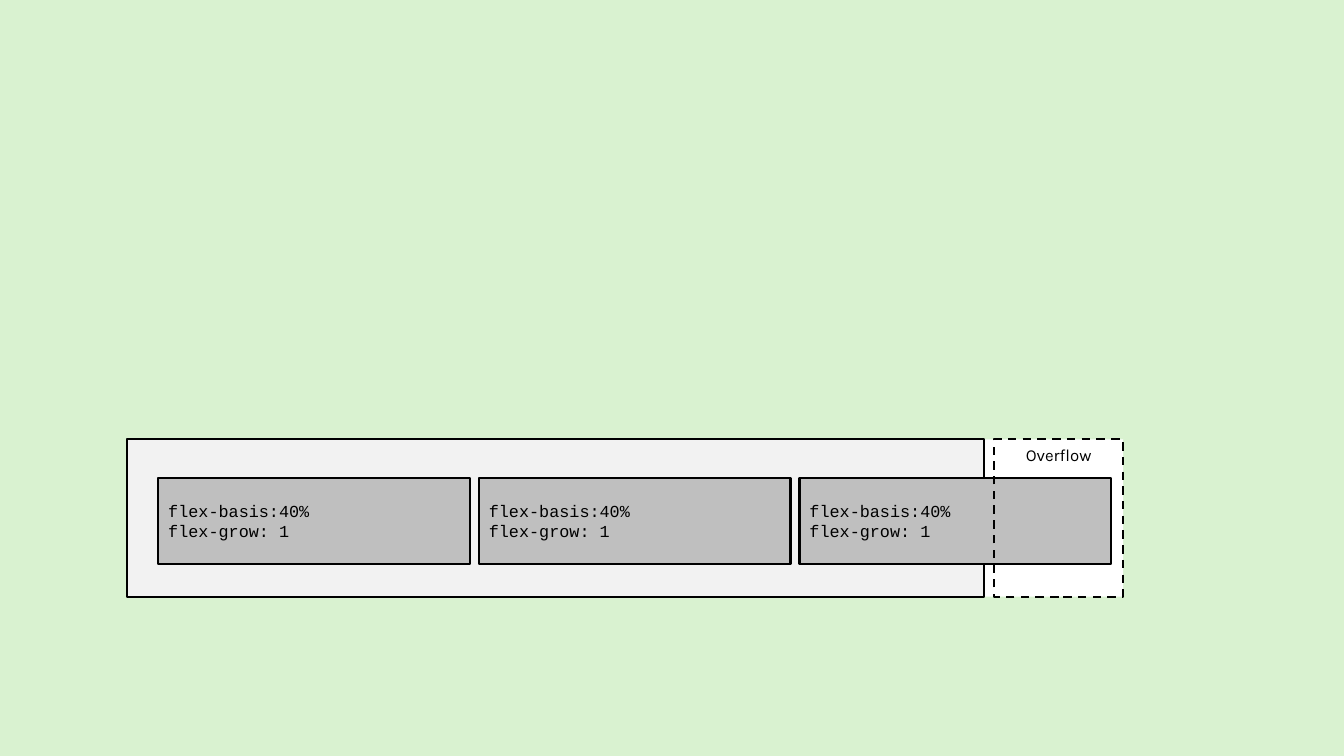
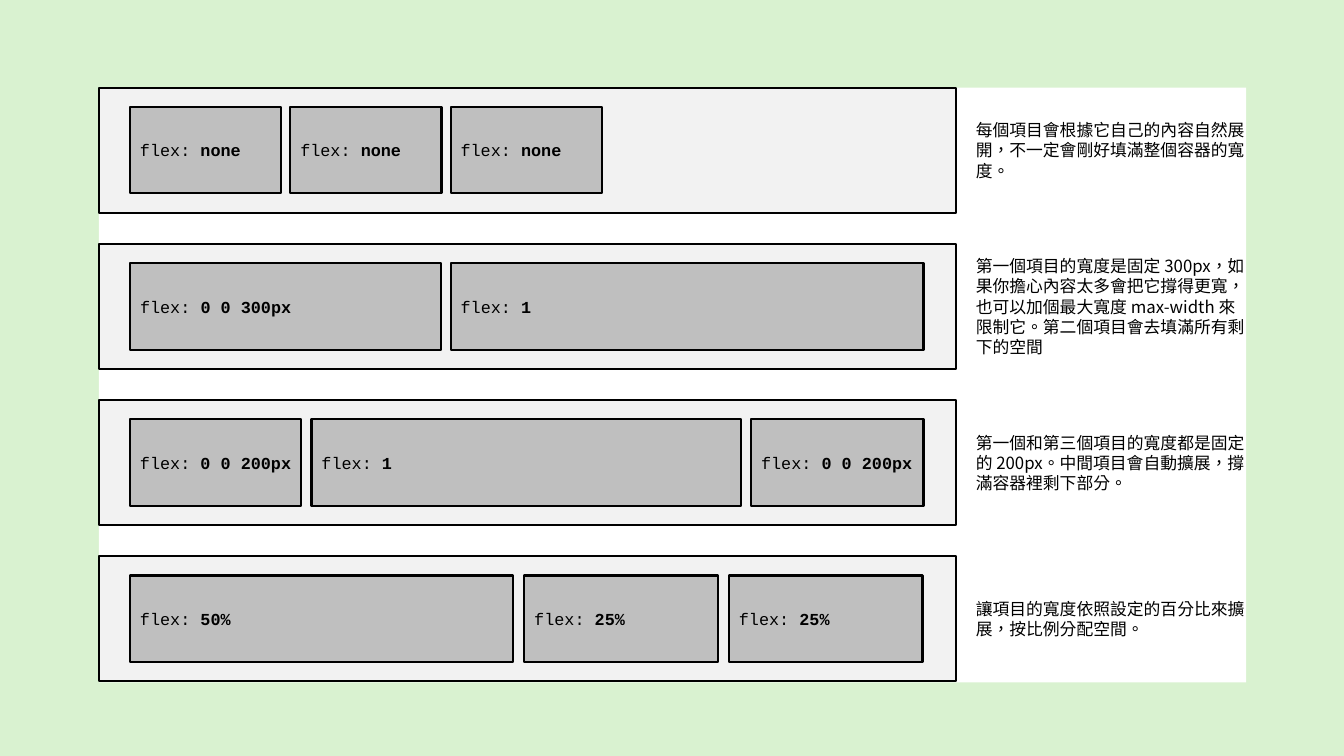
from lxml.etree import SubElement
from pptx import Presentation
from pptx.dml.color import RGBColor
from pptx.enum.dml import MSO_LINE
from pptx.enum.shapes import MSO_SHAPE
from pptx.enum.text import MSO_ANCHOR, PP_ALIGN
from pptx.oxml.ns import qn
from pptx.util import Inches, Pt

COLORS = {"page": "D9F2D0", "sheet": "FFFFFF", "container": "F2F2F2",
          "item": "BFBFBF", "ink": "000000"}
CODE_FONT, LABEL_FONT, NOTE_FONT = "Courier New", "Karla", "Noto Sans CJK TC"

OVERFLOW_ITEM = [[("flex-basis:40%", False)], [("flex-grow: 1", False)]]
OVERFLOW_WIDTHS = [3.09] * 3

FLEX_ROWS = [
    {"items": [("none", 1.5), ("none", 1.5), ("none", 1.5)], "gap": 0.09,
     "note": "每個項目會根據它自己的內容自然展開，不一定會剛好填滿整個容器的寬度。",
     "note_height": 0.5},
    {"items": [("0 0 300px", 3.08), ("1", 4.69)], "gap": 0.1,
     "note": "第一個項目的寬度是固定 300px，如果你擔心內容太多會把它撐得更寬，"
             "也可以加個最大寬度 max-width 來限制它。第二個項目會去填滿所有剩下的空間",
     "note_height": 1.11},
    {"items": [("0 0 200px", 1.7), ("1", 4.26), ("0 0 200px", 1.71)], "gap": 0.1,
     "note": "第一個和第三個項目的寬度都是固定的 200px。"
             "中間項目會自動擴展，撐滿容器裡剩下部分。",
     "note_height": 0.71},
    {"items": [("50%", 3.8), ("25%", 1.92), ("25%", 1.92)], "gap": 0.11,
     "note": "讓項目的寬度依照設定的百分比來擴展，按比例分配空間。",
     "note_height": 0.5},
]

CONTAINER_WIDTH, PADDING, ITEM_HEIGHT = 8.5, 0.31, 0.86
ROW_TOP, ROW_STEP, ROW_HEIGHT = 0.87, 1.55, 1.24


def color(key):
    return RGBColor.from_string(COLORS[key])


def new_slide(prs):
    slide = prs.slides.add_slide(prs.slide_layouts[6])
    slide.background.fill.solid()
    slide.background.fill.fore_color.rgb = color("page")
    return slide


def add_box(slide, left, top, width, height, fill=None, outlined=True):
    box = slide.shapes.add_shape(MSO_SHAPE.RECTANGLE, Inches(left), Inches(top),
                                 Inches(width), Inches(height))
    box.shadow.inherit = False
    if fill:
        box.fill.solid()
        box.fill.fore_color.rgb = color(fill)
    else:
        box.fill.background()
    if outlined:
        box.line.color.rgb = color("ink")
        box.line.width = Pt(1.5)
    else:
        box.line.fill.background()
    return box


def write(box, lines, font, align=PP_ALIGN.LEFT, anchor=MSO_ANCHOR.MIDDLE, lang="en-US"):
    frame = box.text_frame
    frame.word_wrap = True
    frame.vertical_anchor = anchor
    for index, line in enumerate(lines):
        paragraph = frame.add_paragraph() if index else frame.paragraphs[0]
        paragraph.alignment = align
        for text, bold in line:
            run = paragraph.add_run()
            run.text = text
            run.font.size = Pt(12)
            run.font.name = font
            run.font.color.rgb = color("ink")
            if bold:
                run.font.bold = True
            props = run._r.get_or_add_rPr()
            props.set("lang", lang)
            SubElement(props, qn("a:ea")).set("typeface", font)


def add_items(slide, left, top, widths, gap, texts):
    for width, lines in zip(widths, texts):
        write(add_box(slide, left, top, width, ITEM_HEIGHT, "item"), lines, CODE_FONT)
        left += width + gap


def build_overflow(prs):
    slide = new_slide(prs)
    left, top, height, full_width, overflow_width = 1.26, 4.36, 1.56, 9.88, 1.28
    add_box(slide, left, top, full_width, height, "sheet", outlined=False)
    add_box(slide, left, top, CONTAINER_WIDTH, height, "container")
    add_items(slide, left + PADDING, top + 0.38, OVERFLOW_WIDTHS, 0.09,
              [OVERFLOW_ITEM] * len(OVERFLOW_WIDTHS))
    overflow = add_box(slide, left + full_width - overflow_width, top,
                       overflow_width, height)
    overflow.line.dash_style = MSO_LINE.DASH
    write(overflow, [[("Overflow", False)]], LABEL_FONT, PP_ALIGN.CENTER, MSO_ANCHOR.TOP)


def build_flex_values(prs):
    slide = new_slide(prs)
    left = 0.98
    add_box(slide, left, ROW_TOP, 11.38, 5.9, "sheet", outlined=False)
    for index, row in enumerate(FLEX_ROWS):
        top = ROW_TOP + index * ROW_STEP
        add_box(slide, left, top, CONTAINER_WIDTH, ROW_HEIGHT, "container")
        add_items(slide, left + PADDING, top + (ROW_HEIGHT - ITEM_HEIGHT) / 2,
                  [width for _, width in row["items"]], row["gap"],
                  [[[("flex: ", False), (value, True)]] for value, _ in row["items"]])
        note_top = top + (ROW_HEIGHT - row["note_height"]) / 2
        note = slide.shapes.add_textbox(Inches(left + CONTAINER_WIDTH + 0.1), Inches(note_top),
                                        Inches(2.92), Inches(row["note_height"]))
        write(note, [[(row["note"], False)]], NOTE_FONT, lang="zh-TW")


def main():
    prs = Presentation()
    prs.slide_width, prs.slide_height = Inches(13.33), Inches(7.5)
    build_overflow(prs)
    build_flex_values(prs)
    prs.save("out.pptx")


if __name__ == "__main__":
    main()
